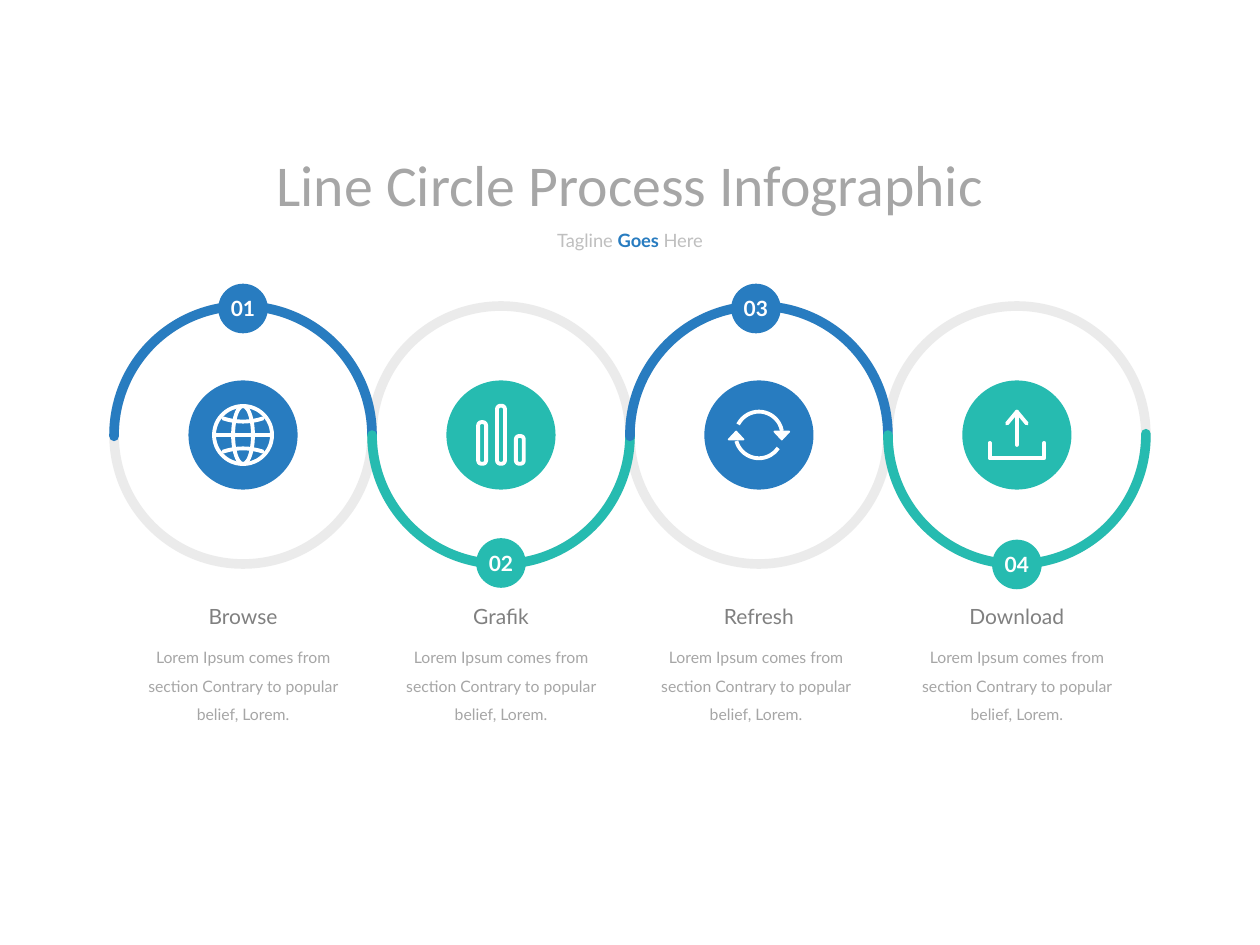
from lxml.etree import SubElement
from pptx import Presentation
from pptx.dml.color import RGBColor
from pptx.enum.shapes import MSO_CONNECTOR, MSO_SHAPE as SHAPE
from pptx.enum.text import MSO_ANCHOR, MSO_AUTO_SIZE as AUTO_SIZE, PP_ALIGN
from pptx.oxml.ns import qn
from pptx.util import Cm, Pt

COLORS = {"blue": "287CC0", "teal": "26BBB0", "ring": "BFBFBF", "title": "A6A6A6",
          "tagline": "BFBFBF", "label": "808080", "body": "A6A6A6", "white": "FFFFFF"}
RGB = {name: RGBColor.from_string(value) for name, value in COLORS.items()}

prs = Presentation()
prs.slide_width, prs.slide_height = Cm(25.4), Cm(19.05)
shapes = prs.slides.add_slide(prs.slide_layouts[6]).shapes


def draw(kind, center_x, center_y, width, height, fill=None, line=None, weight=2.2):
    """Add a preset shape around a centre point, lengths in cm and weight in points."""
    shape = shapes.add_shape(kind, Cm(center_x - width / 2), Cm(center_y - height / 2),
                             Cm(width), Cm(height))
    shape.shadow.inherit = False
    if fill:
        shape.fill.solid()
        shape.fill.fore_color.rgb = RGB[fill]
    else:
        shape.fill.background()
    if line:
        shape.line.color.rgb = RGB[line]
        shape.line.width = Pt(weight)
    else:
        shape.line.fill.background()
    return shape


def write(center_x, top, width, height, text, size, color, font="Lato", wrap=False):
    """Add a centred one-paragraph text box and return its paragraph."""
    frame = shapes.add_textbox(Cm(center_x - width / 2), Cm(top), Cm(width), Cm(height)).text_frame
    frame.word_wrap = wrap
    frame.auto_size = AUTO_SIZE.SHAPE_TO_FIT_TEXT
    paragraph = frame.paragraphs[0]
    paragraph.text = text
    paragraph.alignment = PP_ALIGN.CENTER
    paragraph.font.name, paragraph.font.size = font, Pt(size)
    paragraph.font.color.rgb = RGB[color]
    return paragraph


write(12.7, 2.87, 16.92, 1.68, "Line Circle Process Infographic", 33, "title", "Calibri")
tagline = write(12.7, 4.5, 3.56, 0.71, "Tagline ", 10.5, "tagline")
accent = tagline.add_run()
accent.text = "Goes "
accent.font.bold = True
accent.font.color.rgb = RGB["blue"]
tagline.add_run().text = "Here"

# label, colour, badge centre y, shift of badge and body
steps = [("Browse", "blue", 6.22, 0), ("Grafik", "teal", 11.35, 0),
         ("Refresh", "blue", 6.22, -0.06), ("Download", "teal", 11.38, 0)]
RING, MIDDLE = 5.2, 8.77
centers = [4.9 + RING * i for i in range(len(steps))]
globe_x, chart_x, refresh_x, download_x = centers

for x in centers:
    ring = draw(SHAPE.OVAL, x, MIDDLE, RING, RING, line="ring", weight=5.5)
    ring_color = ring.line.fill._xPr.find(".//" + qn("a:srgbClr"))
    SubElement(ring_color, qn("a:alpha"), val="30000")

rounded = []
for x, (label, color, badge_y, shift) in zip(centers, steps):
    half_ring = draw(SHAPE.ARC, x, MIDDLE, RING, RING, line=color, weight=5.5)
    # Arc angles are degrees * 0.6 in adjustment units
    half_ring.adjustments[0], half_ring.adjustments[1] = 179.4 * 0.6, 0
    half_ring.rotation = 180 if color == "teal" else 0
    rounded.append(half_ring)

for number, (x, (label, color, badge_y, shift)) in enumerate(zip(centers, steps), 1):
    draw(SHAPE.OVAL, x, MIDDLE, 2.2, 2.2, fill=color)
    write(x, 12.04, 2.44, 0.76, label, 12, "label")
    body = write(x + shift, 12.75, 4.42, 1.98,
                 "Lorem Ipsum comes from section Contrary to popular belief, Lorem.",
                 9, "body", wrap=True)
    body.line_spacing = 1.5

    badge = draw(SHAPE.OVAL, x + shift, badge_y, 1, 1, fill=color).text_frame
    badge.margin_left = badge.margin_right = badge.margin_top = badge.margin_bottom = 0
    badge.word_wrap = False
    badge.vertical_anchor = MSO_ANCHOR.MIDDLE
    digits = badge.paragraphs[0]
    digits.text = f"{number:02d}"
    digits.alignment = PP_ALIGN.CENTER
    digits.font.name, digits.font.size, digits.font.bold = "Lato", Pt(12), True
    digits.font.color.rgb = RGB["white"]

# Globe outline and meridians
for width in (1.17, 0.4):
    draw(SHAPE.OVAL, globe_x, MIDDLE, width, 1.17, line="white")

# Bar chart icon
for offset, height in ((-0.38, 0.84), (0, 1.17), (0.38, 0.56)):
    bar = draw(SHAPE.ROUNDED_RECTANGLE, chart_x + offset, MIDDLE + 0.58 - height / 2,
               0.16, height, line="white")
    bar.adjustments[0] = 0.4

# Refresh arrows
for start, end, side, turn in ((207, 350, 1, 180), (34, 165, -1, 0)):
    sweep = draw(SHAPE.ARC, refresh_x, MIDDLE, 0.94, 0.94, line="white")
    sweep.adjustments[0], sweep.adjustments[1] = start * 0.6, end * 0.6
    tip = draw(SHAPE.ISOSCELES_TRIANGLE, refresh_x + side * 0.46, MIDDLE + 0.01, 0.3, 0.16,
               fill="white", line="white", weight=1)
    tip.rotation = turn
    rounded.append(tip)

# Open strokes of the globe and download icons, relative to the icon centre
latitudes = [[(x / 10, side * (0.28 - 0.35 * (x / 10) ** 2 + 0.05 * 0)) for x in range(-4, 5)]
             for side in (-1, 1)]
latitudes = [[(x / 10, side * (0.27 + 0.4 * (x / 10) ** 2)) for x in range(-4, 5)]
             for side in (-1, 1)]
strokes = [(globe_x, points) for points in latitudes]
strokes += [(globe_x, [(-0.58, 0), (0.58, 0)]),
            (download_x, [(-0.55, 0.16), (-0.55, 0.47), (0.55, 0.47), (0.55, 0.16)]),
            (download_x, [(0, 0.2), (0, -0.47)]),
            (download_x, [(-0.2, -0.23), (0, -0.47), (0.2, -0.23)])]
for center_x, points in strokes:
    places = [(Cm(center_x + x), Cm(MIDDLE + y)) for x, y in points]
    if len(places) == 2:
        stroke = shapes.add_connector(MSO_CONNECTOR.STRAIGHT, *places[0], *places[1])
    else:
        outline = shapes.build_freeform(*places[0])
        outline.add_line_segments(places[1:], close=False)
        stroke = outline.convert_to_shape()
        stroke.fill.background()
        stroke.shadow.inherit = False
    stroke.line.color.rgb = RGB["white"]
    stroke.line.width = Pt(2.2)
    if len(places) == 2:
        SubElement(stroke._element.spPr, qn("a:effectLst"))
    rounded.append(stroke)

for shape in rounded:
    line_xml = shape.line._get_or_add_ln()
    line_xml.set("cap", "rnd")
    SubElement(line_xml, qn("a:round"))

prs.save("out.pptx")
